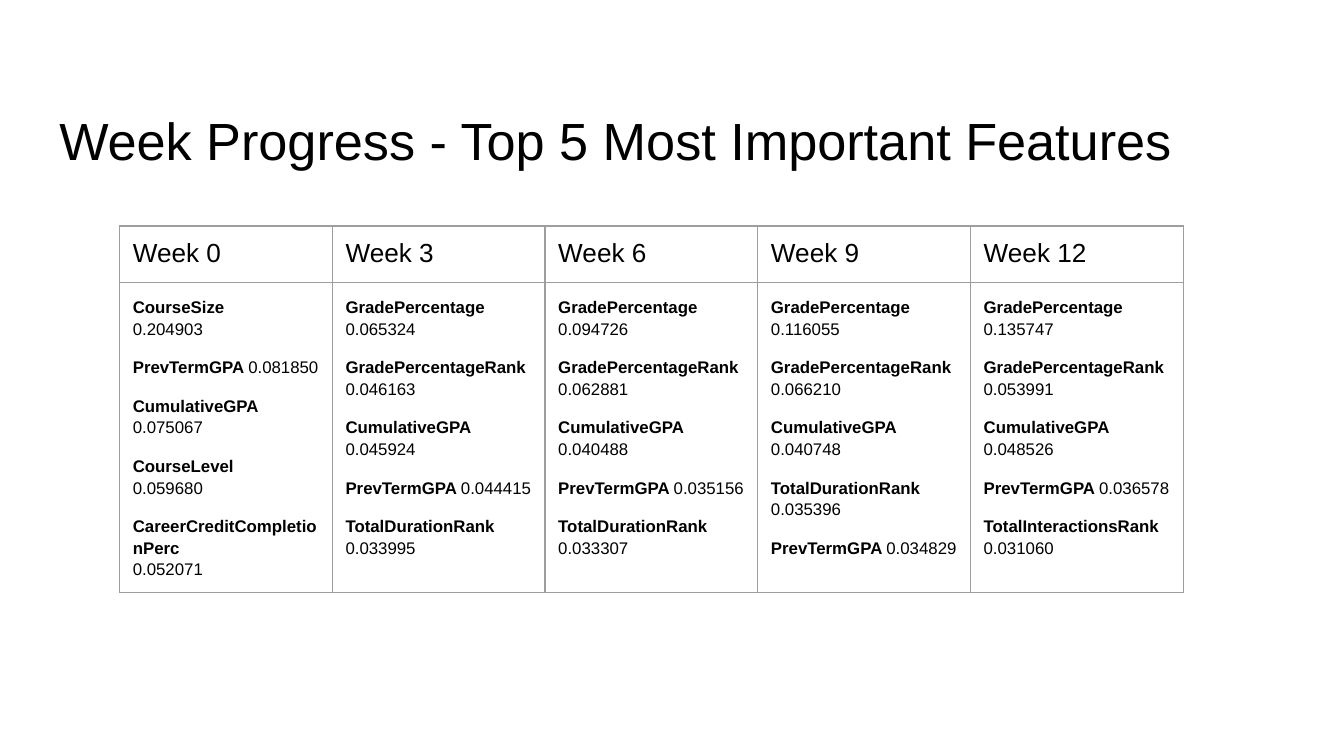
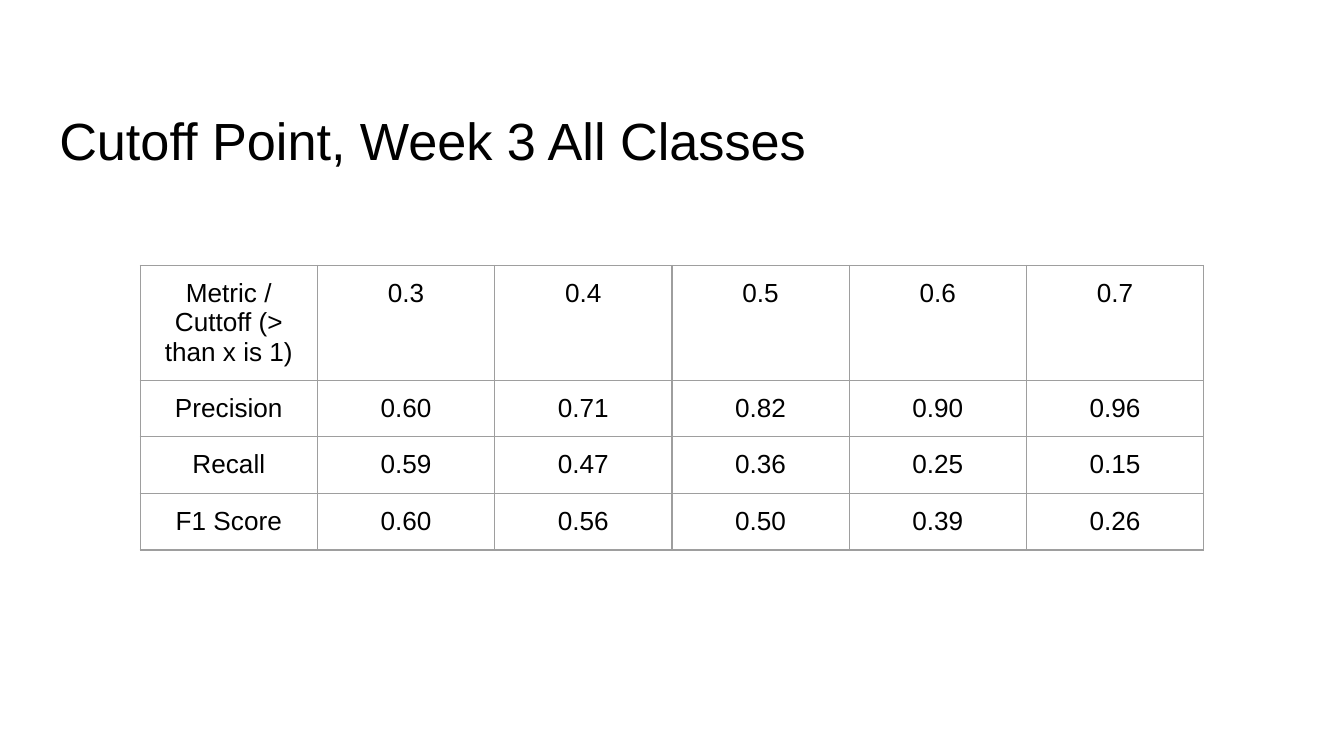
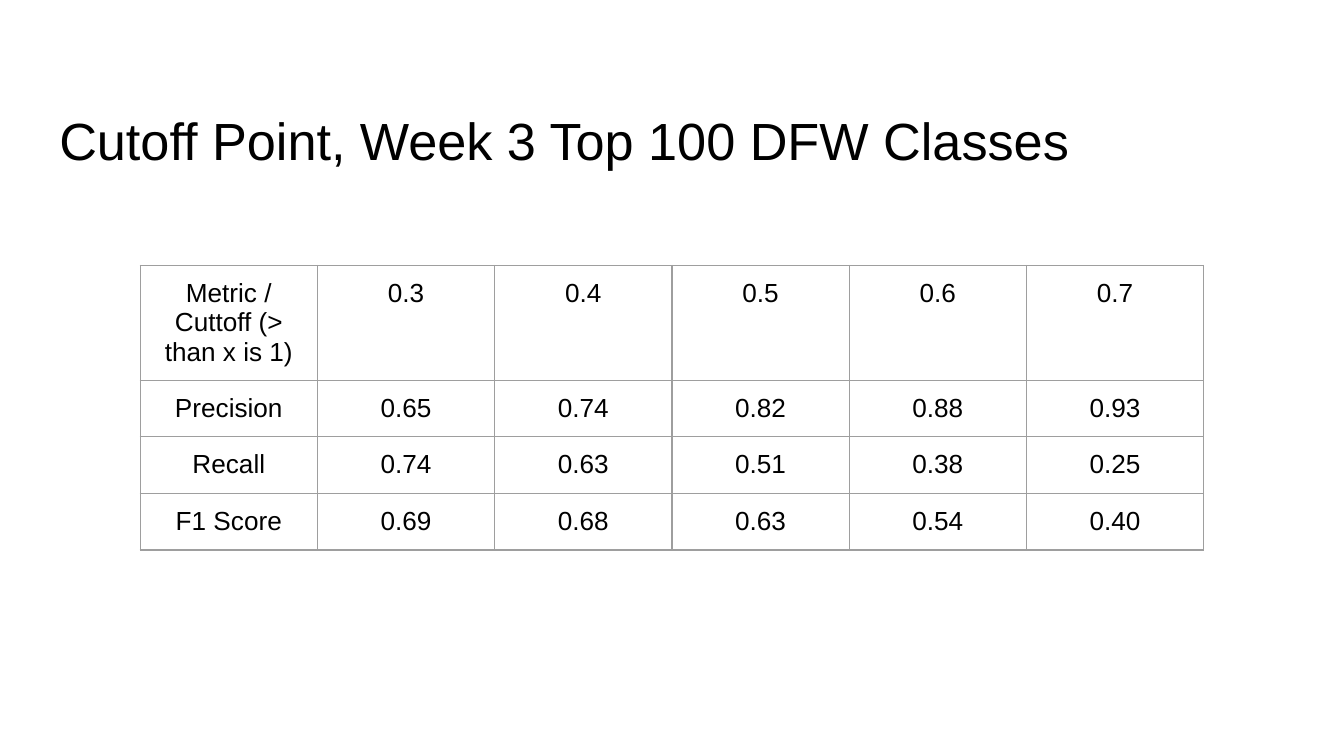
from lxml import etree
from pptx import Presentation
from pptx.dml.color import RGBColor
from pptx.enum import text
from pptx.oxml import ns
from pptx.util import Cm, Pt

# Shared look
BLACK = RGBColor(0x00, 0x00, 0x00)
GRID_GRAY = RGBColor(0x9E, 0x9E, 0x9E)
FONT = "Arial"
TITLE_SIZE, CELL_SIZE, FEATURE_SIZE = Pt(28), Pt(14), Pt(9)
INSET = Cm(0.25)
ROW_HEIGHT = Cm(1.07)  # minimum; rows grow with their text
TITLE_BOX = (Cm(0.87), Cm(1.8), Cm(23.67), Cm(1.6))
FEATURE_BOX = (Cm(2.26), Cm(4.27), Cm(20.1))
CUTOFF_BOX = (Cm(2.65), Cm(5.02), Cm(20.1))

# Week -> features with their importance
WEEK_FEATURES = {
    "Week 0": [("CourseSize", "0.204903"), ("PrevTermGPA", "0.081850"),
               ("CumulativeGPA", "0.075067"), ("CourseLevel", "0.059680"),
               ("CareerCreditCompletionPerc", "0.052071")],
    "Week 3": [("GradePercentage", "0.065324"), ("GradePercentageRank", "0.046163"),
               ("CumulativeGPA", "0.045924"), ("PrevTermGPA", "0.044415"),
               ("TotalDurationRank", "0.033995")],
    "Week 6": [("GradePercentage", "0.094726"), ("GradePercentageRank", "0.062881"),
               ("CumulativeGPA", "0.040488"), ("PrevTermGPA", "0.035156"),
               ("TotalDurationRank", "0.033307")],
    "Week 9": [("GradePercentage", "0.116055"), ("GradePercentageRank", "0.066210"),
               ("CumulativeGPA", "0.040748"), ("TotalDurationRank", "0.035396"),
               ("PrevTermGPA", "0.034829")],
    "Week 12": [("GradePercentage", "0.135747"), ("GradePercentageRank", "0.053991"),
                ("CumulativeGPA", "0.048526"), ("PrevTermGPA", "0.036578"),
                ("TotalInteractionsRank", "0.031060")],
}
# Names whose value starts on a new line although it would fit beside them
BREAK_AFTER = {"CourseSize", "CourseLevel", "CareerCreditCompletionPerc"}

CUTOFF_HEADER = ["Metric /\nCuttoff (> than x is 1)", "0.3", "0.4", "0.5", "0.6", "0.7"]
CUTOFF_SLIDES = {
    "Cutoff Point, Week 3 All Classes": [
        ["Precision", "0.60", "0.71", "0.82", "0.90", "0.96"],
        ["Recall", "0.59", "0.47", "0.36", "0.25", "0.15"],
        ["F1 Score", "0.60", "0.56", "0.50", "0.39", "0.26"],
    ],
    "Cutoff Point, Week 3 Top 100 DFW Classes": [
        ["Precision", "0.65", "0.74", "0.82", "0.88", "0.93"],
        ["Recall", "0.74", "0.63", "0.51", "0.38", "0.25"],
        ["F1 Score", "0.69", "0.68", "0.63", "0.54", "0.40"],
    ],
}


def format_paragraph(paragraph, size, alignment=text.PP_ALIGN.LEFT):
    paragraph.alignment = alignment
    paragraph.font.name = FONT
    paragraph.font.size = size
    paragraph.font.color.rgb = BLACK


def set_insets(holder):
    holder.margin_left = holder.margin_right = INSET
    holder.margin_top = holder.margin_bottom = INSET


def add_titled_slide(presentation, title):
    slide = presentation.slides.add_slide(presentation.slide_layouts[5])
    shape = slide.shapes.title
    shape.left, shape.top, shape.width, shape.height = TITLE_BOX
    frame = shape.text_frame
    frame.text = title
    frame.word_wrap = True
    frame.auto_size = text.MSO_AUTO_SIZE.NONE
    frame.vertical_anchor = text.MSO_ANCHOR.TOP
    set_insets(frame)
    format_paragraph(frame.paragraphs[0], TITLE_SIZE)
    return slide


def add_borders(cell):
    properties = cell._tc.get_or_add_tcPr()
    for index, side in enumerate(("lnL", "lnR", "lnT", "lnB")):
        line = etree.Element(ns.qn(f"a:{side}"), w=str(Pt(0.75)))
        fill = etree.SubElement(line, ns.qn("a:solidFill"))
        etree.SubElement(fill, ns.qn("a:srgbClr"), val=str(GRID_GRAY))
        properties.insert(index, line)


def add_grid(slide, box, row_count, column_count):
    """Add an unfilled table with equal columns and thin gray borders."""
    left, top, width = box
    table = slide.shapes.add_table(row_count, column_count, left, top, width,
                                   ROW_HEIGHT * row_count).table
    table.first_row = table.horz_banding = False
    for cell in table.iter_cells():
        cell.fill.background()
        set_insets(cell)
        add_borders(cell)
    return table


def write_cell(cell, content, alignment):
    cell.text = content
    for paragraph in cell.text_frame.paragraphs:
        format_paragraph(paragraph, CELL_SIZE, alignment)


def write_features(cell, features):
    frame = cell.text_frame
    for index, (name, value) in enumerate(features):
        paragraph = frame.add_paragraph() if index else frame.paragraphs[0]
        format_paragraph(paragraph, FEATURE_SIZE)
        paragraph.line_spacing = 1.15
        paragraph.space_before = Pt(9)
        name_run = paragraph.add_run()
        name_run.font.bold = True
        if name in BREAK_AFTER:
            name_run.text = name
            paragraph.add_line_break()
        else:
            name_run.text = name + " "
        paragraph.add_run().text = value


def add_feature_table(slide, box):
    table = add_grid(slide, box, 2, len(WEEK_FEATURES))
    for column, (week, features) in enumerate(WEEK_FEATURES.items()):
        write_cell(table.cell(0, column), week, text.PP_ALIGN.LEFT)
        write_features(table.cell(1, column), features)


def add_cutoff_table(slide, box, metrics):
    rows = [CUTOFF_HEADER] + metrics
    table = add_grid(slide, box, len(rows), len(CUTOFF_HEADER))
    for row, values in enumerate(rows):
        for column, value in enumerate(values):
            write_cell(table.cell(row, column), value, text.PP_ALIGN.CENTER)


presentation = Presentation()
presentation.slide_width, presentation.slide_height = Cm(25.4), Cm(14.29)

# Slide 1: feature importance by week
feature_slide = add_titled_slide(presentation, "Week Progress - Top 5 Most Important Features")
add_feature_table(feature_slide, FEATURE_BOX)

# Slides 2 and 3: metrics by cutoff
for title, metrics in CUTOFF_SLIDES.items():
    add_cutoff_table(add_titled_slide(presentation, title), CUTOFF_BOX, metrics)

presentation.save("out.pptx")
